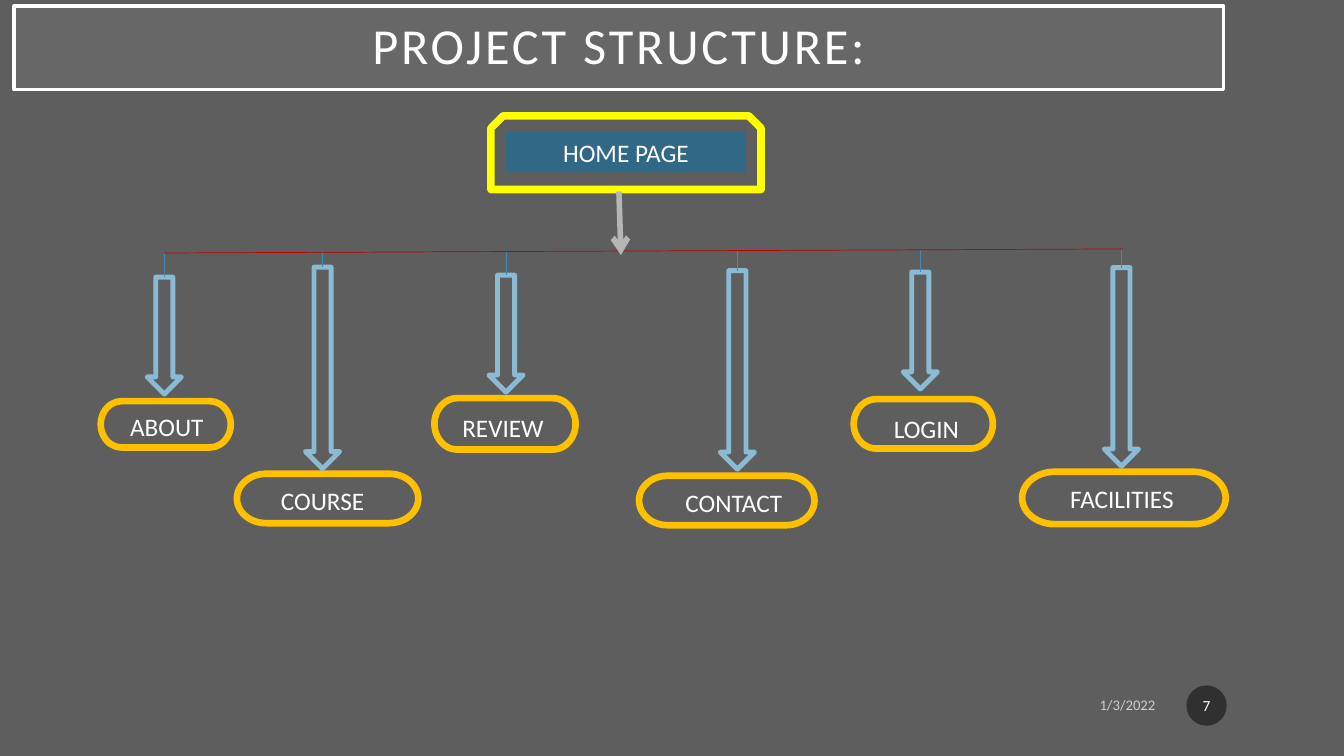
from collections import namedtuple

from lxml.etree import SubElement
from pptx import Presentation
from pptx.dml.color import RGBColor
from pptx.enum.shapes import MSO_CONNECTOR, MSO_SHAPE
from pptx.enum.text import MSO_ANCHOR, PP_ALIGN
from pptx.oxml.ns import qn
from pptx.util import Inches, Pt

COLUMNS, ROWS = 133.33, 75
WHITE, GREY, AMBER, SKY, BLUE = "FFFFFF", "5E5E5E", "FFC000", "8ABAD4", "418AB3"

# pill and label: left, top, width, height; arrow: centre column, top row, length
Branch = namedtuple("Branch", "name pill label arrow")
BRANCHES = [
    Branch("ABOUT", (10, 39.8, 12.9, 4.6), (7.3, 40.3, 18.5, 4), (16.3, 27.5, 11.6)),
    Branch("COURSE", (23.5, 47, 18, 4.9), (21.8, 47.7, 20.4, 4), (32, 26.5, 20)),
    Branch("REVIEW", (43.1, 39.5, 14, 5.1), (41, 40.4, 17.8, 4), (50.2, 27.3, 11.6)),
    Branch("CONTACT", (63.4, 47.2, 17.4, 4.9), (63.4, 47.9, 18.8, 4), (73.15, 26.85, 19.7)),
    Branch("LOGIN", (84.7, 39.6, 13.8, 4.9), (82.4, 40.5, 19, 4), (91.3, 27, 11.6)),
    Branch("FACILITIES", (101.4, 46.8, 20.2, 5.2), (101.9, 47.5, 18.8, 4), (111.25, 26.55, 19.7)),
]
RAIL_START, RAIL_END = (16.3, 25.1), (111.4, 24.7)


def paint(fill, hex_color, alpha=100):
    """Make a fill solid, with its opacity in percent."""
    fill.solid()
    fill.fore_color.rgb = RGBColor.from_string(hex_color)
    if alpha < 100:
        srgb = fill.fore_color._xFill.find(qn("a:srgbClr"))
        SubElement(srgb, qn("a:alpha"), val=str(alpha * 1000))


class SlideBuilder:
    font = "Calibri"
    arrow_breadth = 3.4

    def __init__(self, presentation, background):
        self.column = presentation.slide_width / COLUMNS
        self.row = presentation.slide_height / ROWS
        self.slide = presentation.slides.add_slide(presentation.slide_layouts[5])
        paint(self.slide.background.fill, background)

    def box(self, left, top, width, height):
        return (round(left * self.column), round(top * self.row),
                round(width * self.column), round(height * self.row))

    def style(self, shape, fill=None, alpha=100, line=None, weight=1):
        if fill:
            paint(shape.fill, fill, alpha)
        else:
            shape.fill.background()
        if line:
            paint(shape.line.fill, line)
            shape.line.width = Pt(weight)
        else:
            shape.line.fill.background()

    def set_text(self, shape, text, size, align=PP_ALIGN.CENTER, anchor=MSO_ANCHOR.TOP,
                 alpha=100, side_inset=0.1, end_inset=0.05):
        frame = shape.text_frame
        frame.text = text
        frame.word_wrap = True
        frame.vertical_anchor = anchor
        frame.margin_left = frame.margin_right = Inches(side_inset)
        frame.margin_top = frame.margin_bottom = Inches(end_inset)
        paragraph = frame.paragraphs[0]
        paragraph.alignment = align
        paragraph.font.name = self.font
        paragraph.font.size = Pt(size)
        paint(paragraph.font.fill, WHITE, alpha)
        return paragraph

    def title(self, text, box):
        title = self.slide.shapes.title
        title.left, title.top, title.width, title.height = self.box(*box)
        self.style(title, "9E9E9E", 15, WHITE, 2.5)
        paragraph = self.set_text(title, text, 36, anchor=MSO_ANCHOR.MIDDLE,
                                  side_inset=0.2, end_inset=0.2)
        paragraph.line_spacing = 0.9
        paragraph.runs[0].font._element.set("spc", "200")

    def shape(self, kind, box, **style):
        shape = self.slide.shapes.add_shape(kind, *self.box(*box))
        shape.shadow.inherit = False
        self.style(shape, **style)
        return shape

    def text(self, text, box, size=18, **options):
        self.set_text(self.slide.shapes.add_textbox(*self.box(*box)), text, size, **options)

    def line(self, start, end, color, weight=0.5, arrowhead=False):
        connector = self.slide.shapes.add_connector(
            MSO_CONNECTOR.STRAIGHT, *self.box(*start, *end))
        paint(connector.line.fill, color)
        connector.line.width = Pt(weight)
        properties = connector._element.spPr
        if arrowhead:
            SubElement(properties.find(qn("a:ln")), qn("a:tailEnd"), type="arrow")
        SubElement(properties, qn("a:effectLst"))

    def down_arrow(self, center, top, length):
        # A right arrow turned by 90 degrees about its middle
        box = (center - length / 2, top + (length - self.arrow_breadth) / 2,
               length, self.arrow_breadth)
        arrow = self.shape(MSO_SHAPE.RIGHT_ARROW, box, fill=GREY, line=SKY, weight=3.5)
        arrow.rotation = 90


def rail_row(column):
    """Row of the slightly sloping rail at a given column."""
    (left, start), (right, end) = RAIL_START, RAIL_END
    return start + (end - start) * (column - left) / (right - left)


def main():
    presentation = Presentation()
    presentation.slide_width, presentation.slide_height = Inches(13.33), Inches(7.5)
    builder = SlideBuilder(presentation, GREY)

    # Title
    builder.title("PROJECT STRUCTURE:", (1.4, 0.6, 120, 8.3))

    # Date and slide number
    builder.text("1/3/2022", (85.5, 68.2, 30.1, 3.5), 10.5, align=PP_ALIGN.RIGHT,
                 anchor=MSO_ANCHOR.MIDDLE, alpha=70)
    badge = builder.shape(MSO_SHAPE.OVAL, (117.7, 68, 4, 4), fill="1D1D1D", alpha=70)
    builder.set_text(badge, "7", 11, anchor=MSO_ANCHOR.MIDDLE, side_inset=0.02)

    # Home page
    builder.shape(MSO_SHAPE.SNIP_2_SAME_RECTANGLE, (48.7, 11.5, 26.8, 7.3),
                  line="FFFF00", weight=5.5)
    home = builder.shape(MSO_SHAPE.RECTANGLE, (50.2, 13.1, 23.8, 4), fill="316886")
    builder.set_text(home, "HOME PAGE", 18)

    # Branches hanging from the rail
    for branch in BRANCHES:
        center, top, length = branch.arrow
        builder.shape(MSO_SHAPE.FLOWCHART_TERMINATOR, branch.pill, line=AMBER, weight=4.75)
        builder.down_arrow(center, top, length)
        builder.line((center, rail_row(center)), (center, top), BLUE)
        builder.text(branch.name, branch.label)

    # Rail and the arrow from the home page
    builder.line(RAIL_START, RAIL_END, "C00000")
    builder.line((61.4, 19), (61.6, 25.3), "B5B5B5", 4, arrowhead=True)

    presentation.save("out.pptx")


if __name__ == "__main__":
    main()
